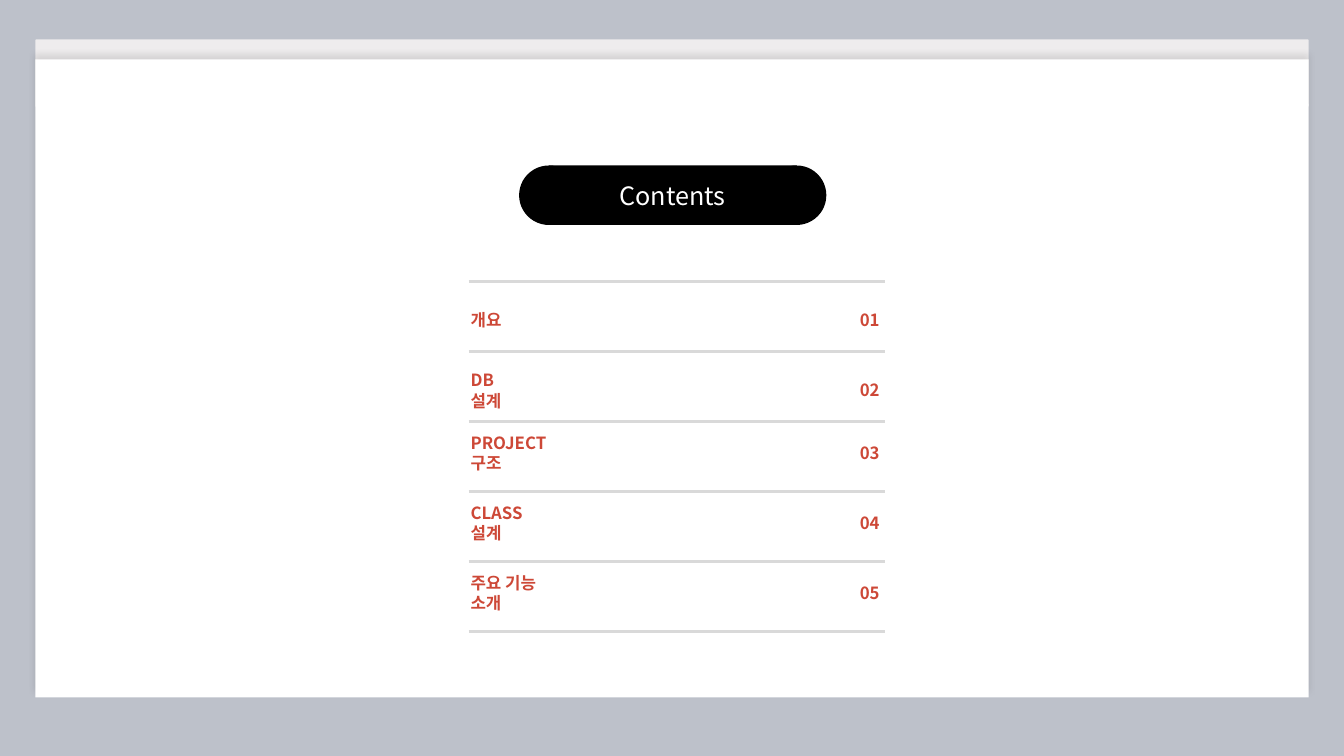
import pptx
import pptx.util
import pptx.dml.color
import pptx.enum.shapes
import pptx.enum.text
import pptx.oxml
import pptx.oxml.ns

COLORS = {"backdrop": "BDC1CA", "strip": "EEECED", "page": "FFFFFF",
          "pill": "000000", "entry": "CD4837", "rule": "D9D9D9"}
SHAPES = pptx.enum.shapes.MSO_SHAPE
ALIGN = pptx.enum.text.PP_ALIGN


class ContentsSlide:
    """Draws on one slide with a grid of 160 columns by 90 rows."""

    font = "Noto Sans CJK KR"

    def __init__(self, deck):
        self.column = deck.slide_width / 160
        self.row = deck.slide_height / 90
        self.slide = deck.slides.add_slide(deck.slide_layouts[5])
        self.paint(self.slide.background.fill, "backdrop")

    def paint(self, fill, color):
        fill.solid()
        fill.fore_color.rgb = pptx.dml.color.RGBColor.from_string(COLORS[color])

    def place(self, left, top, width, height):
        return (round(left * self.column), round(top * self.row),
                round(width * self.column), round(height * self.row))

    def set_text(self, frame, text, *, size, color, bold=False, align=ALIGN.LEFT):
        frame.word_wrap = True
        frame.auto_size = pptx.enum.text.MSO_AUTO_SIZE.NONE
        frame.vertical_anchor = pptx.enum.text.MSO_ANCHOR.MIDDLE
        paragraph = frame.paragraphs[0]
        paragraph.alignment = align
        run = paragraph.add_run()
        run.text = text
        run.font.name = self.font
        run.font.size = pptx.util.Pt(size)
        run.font.bold = bold
        self.paint(run.font.fill, color)
        east_asian = pptx.oxml.parse_xml(
            f'<a:ea {pptx.oxml.ns.nsdecls("a")} typeface="{self.font}"/>')
        run.font._element.find(pptx.oxml.ns.qn("a:latin")).addnext(east_asian)

    def block(self, kind, color, *box):
        block = self.slide.shapes.add_shape(kind, *self.place(*box))
        block.shadow.inherit = False
        self.paint(block.fill, color)
        block.line.fill.background()
        return block

    def cast_shadow(self, block):
        effects = block._element.spPr.find(pptx.oxml.ns.qn("a:effectLst"))
        effects.append(pptx.oxml.parse_xml(
            f'<a:outerShdw {pptx.oxml.ns.nsdecls("a")} blurRad="50800" dist="38100" '
            'dir="16200000" rotWithShape="0"><a:srgbClr val="000000">'
            '<a:alpha val="10000"/></a:srgbClr></a:outerShdw>'))

    def title(self, text, *box):
        heading = self.slide.shapes.title
        heading.left, heading.top, heading.width, heading.height = self.place(*box)
        self.paint(heading.fill, "pill")
        self.set_text(heading.text_frame, text, size=18, color="page", align=ALIGN.CENTER)
        self.slide.shapes._spTree.append(heading._element)

    def entry(self, text, *box, align=ALIGN.LEFT):
        label = self.slide.shapes.add_textbox(*self.place(*box))
        self.set_text(label.text_frame, text, size=12, color="entry", bold=True, align=align)

    def rule(self, left, top, width):
        x, y, length, _ = self.place(left, top, width, 0)
        rule = self.slide.shapes.add_connector(
            pptx.enum.shapes.MSO_CONNECTOR.STRAIGHT, x, y, x + length, y)
        self.paint(rule.line.fill, "rule")
        rule.line.width = pptx.util.Pt(2.25)
        rule._element.spPr.append(pptx.oxml.parse_xml(
            f'<a:effectLst {pptx.oxml.ns.nsdecls("a")}/>'))


def main():
    deck = pptx.Presentation()
    deck.slide_width = pptx.util.Inches(13.33)
    deck.slide_height = pptx.util.Inches(7.5)
    contents = ContentsSlide(deck)

    strip = contents.block(SHAPES.ROUNDED_RECTANGLE, "strip", 4.2, 4.7, 151.6, 8)
    strip.adjustments[0] = 0.015
    page = contents.block(SHAPES.RECTANGLE, "page", 4.2, 7.08, 151.6, 75.96)
    contents.cast_shadow(page)

    for cap_left in (61.8, 91.3):
        contents.block(SHAPES.OVAL, "pill", cap_left, 19.7, 7.08, 7.08)
    contents.title("Contents", 65.34, 19.7, 29.5, 7.08)

    first_rule, pitch = 33.48, 8.34
    for index in range(6):
        contents.rule(55.8, first_rule + index * pitch, 49.56)

    topics = [("개요", 7, 2.84), ("DB 설계", 8.4, 2.84), ("PROJECT 구조", 14.4, 1.94),
              ("CLASS 설계", 12, 1.94), ("주요 기능 소개", 13.8, 1.94)]
    for index, (topic, width, drop) in enumerate(topics):
        top = first_rule + index * pitch + drop
        contents.entry(topic, 54.84, top, width, 3.6)
        contents.entry(f"{index + 1:02}", 99.9, top, 6, 3.6, align=ALIGN.RIGHT)

    deck.save("out.pptx")


if __name__ == "__main__":
    main()
